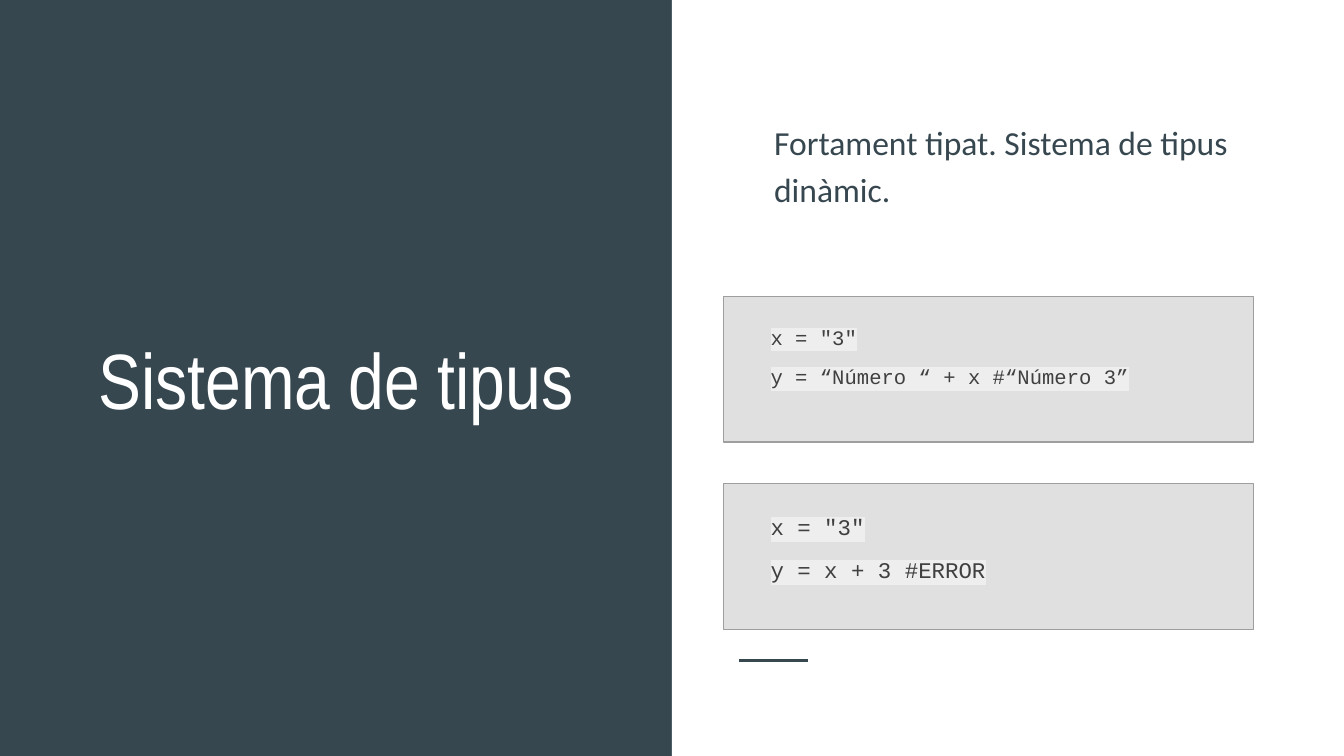
from dataclasses import dataclass

from lxml.etree import SubElement
from pptx import Presentation
from pptx.dml.color import RGBColor
from pptx.enum.shapes import MSO_CONNECTOR, MSO_SHAPE
from pptx.enum.text import MSO_ANCHOR, MSO_AUTO_SIZE, PP_ALIGN
from pptx.oxml.ns import qn
from pptx.util import Pt

SCALE = 4572


@dataclass(frozen=True)
class Theme:
    dark: str = "37474F"
    white: str = "FFFFFF"
    card: str = "E0E0E0"
    edge: str = "9E9E9E"
    code: str = "404040"
    mark: str = "EEEEEE"
    head: str = "Arial Narrow"
    body: str = "Calibri"
    mono: str = "Courier New"
    title: int = 42
    lead: int = 18
    wide: int = 11
    short: int = 12


THEME = Theme()


def px(*sizes):
    return [size * SCALE for size in sizes]


def color(code):
    return RGBColor.from_string(code)


def style(para, face, size, tint):
    font = para.font
    font.name, font.size = face, Pt(size)
    font.bold = False
    font.color.rgb = color(tint)


def set_frame(frame, anchor):
    frame.word_wrap = True
    frame.auto_size = MSO_AUTO_SIZE.NONE
    frame.vertical_anchor = anchor
    pad, = px(20)
    frame.margin_left = frame.margin_right = pad
    frame.margin_top = frame.margin_bottom = pad


def indent(para, left):
    props = para._p.get_or_add_pPr()
    props.set("marL", str(left * SCALE))
    props.set("indent", "0")
    SubElement(props, qn("a:buNone"))


def add_rect(slide, box, fill, edge=None):
    shape = slide.shapes.add_shape(MSO_SHAPE.RECTANGLE, *px(*box))
    shape.shadow.inherit = False
    shape.fill.solid()
    shape.fill.fore_color.rgb = color(fill)
    if edge:
        shape.line.color.rgb = color(edge)
        shape.line.width = Pt(0.75)
    else:
        shape.line.fill.background()


def add_rule(slide, left, right, top):
    line = slide.shapes.add_connector(
        MSO_CONNECTOR.STRAIGHT, *px(left, top, right, top))
    line.line.color.rgb = color(THEME.dark)
    line.line.width = Pt(1.5)
    SubElement(line.element.spPr, qn("a:effectLst"))


def fill_holder(holder, box, text):
    holder.left, holder.top, holder.width, holder.height = px(*box)
    tree = holder.element.getparent()
    tree.append(holder.element)
    set_frame(holder.text_frame, MSO_ANCHOR.MIDDLE)
    para = holder.text_frame.paragraphs[0]
    para.text = text
    return para


def add_title(slide, text):
    para = fill_holder(slide.shapes.title, (58, 380, 884, 366), text)
    para.alignment = PP_ALIGN.CENTER
    style(para, THEME.head, THEME.title, THEME.white)


def add_lead(slide, text):
    para = fill_holder(slide.placeholders[1], (1032, 104, 884, 276), text)
    indent(para, 100)
    para.line_spacing = 1.15
    para.space_before, para.space_after = Pt(0), Pt(16)
    style(para, THEME.body, THEME.lead, THEME.dark)


def add_code(slide, top, size, lines):
    left, width = 1077, 788
    add_rect(slide, (left, top, width, 217), THEME.card, THEME.edge)
    frame = slide.shapes.add_textbox(*px(left, top, width, 192)).text_frame
    set_frame(frame, MSO_ANCHOR.TOP)
    para = frame.paragraphs[0]
    para.text = "\v".join(lines)
    indent(para, 50)
    para.line_spacing = 1.6
    style(para, THEME.mono, size, THEME.code)
    for run in para.runs:
        mark = SubElement(run._r.get_or_add_rPr(), qn("a:highlight"))
        SubElement(mark, qn("a:srgbClr"), val=THEME.mark)


def main():
    deck = Presentation()
    deck.slide_width, deck.slide_height = px(2000, 1125)
    slide = deck.slides.add_slide(deck.slide_layouts[1])
    slide.background.fill.solid()
    slide.background.fill.fore_color.rgb = color(THEME.dark)
    add_rect(slide, (1000, 0, 1000, 1125), THEME.white)
    add_rule(slide, 1100, 1202, 983)
    add_title(slide, "Sistema de tipus")
    add_lead(slide, "Fortament tipat. Sistema de tipus dinàmic.")
    add_code(slide, 441, THEME.wide,
             ['x = "3"', "y = “Número “ + x #“Número 3”"])
    add_code(slide, 720, THEME.short, ['x = "3"', "y = x + 3 #ERROR"])
    deck.save("out.pptx")


if __name__ == "__main__":
    main()
